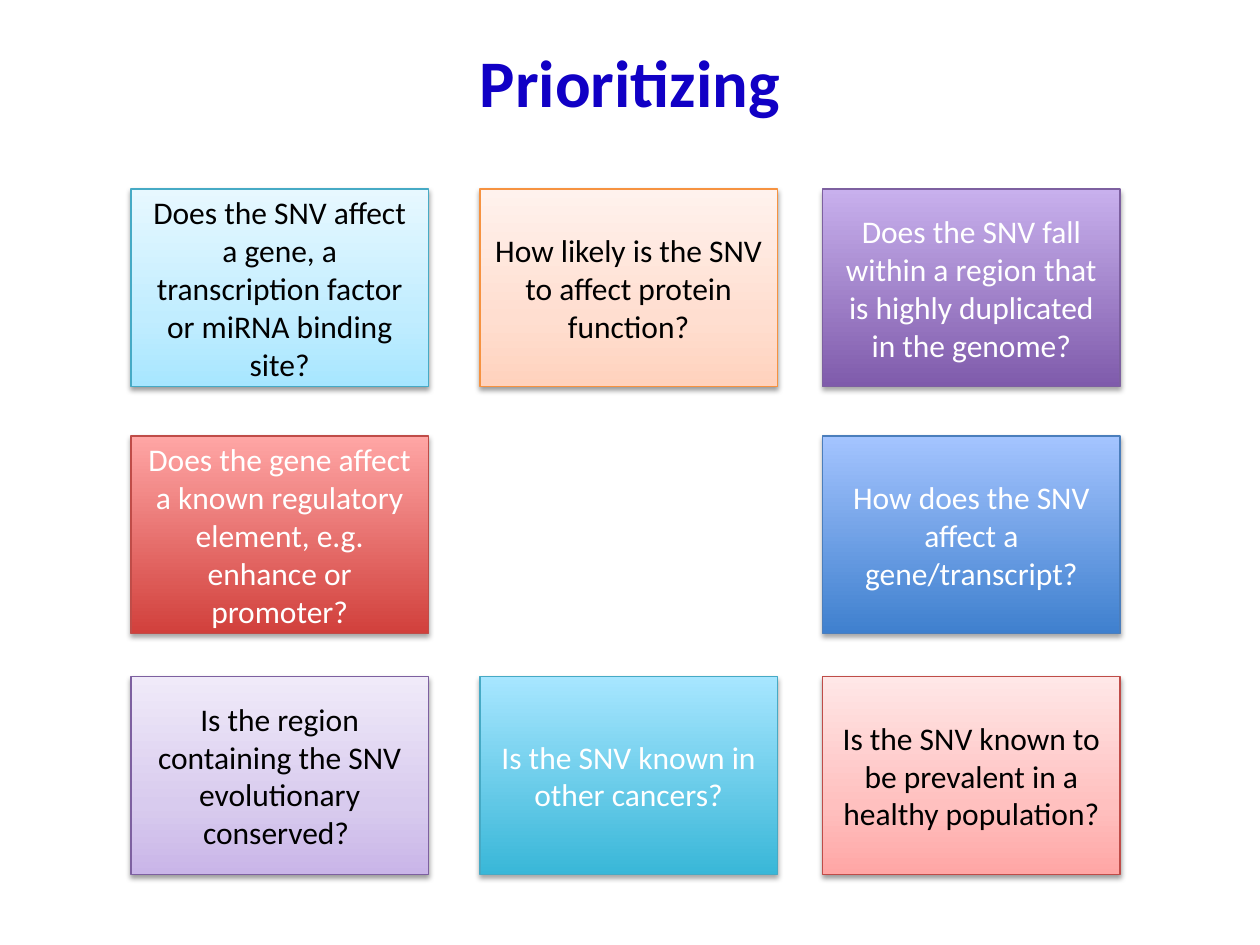
from lxml.etree import SubElement
from pptx import Presentation
from pptx.dml.color import RGBColor
from pptx.enum.shapes import MSO_SHAPE
from pptx.enum.text import MSO_ANCHOR, PP_ALIGN
from pptx.oxml.ns import qn
from pptx.util import Inches, Pt

COLS = (1.04, 3.81, 6.53)
ROWS = (1.5, 3.46, 5.37)
WIDTH, HEIGHT = 2.36, 1.57

# Line colour, then gradient colours from bottom to top
AQUA = ("46AAC5", "39B7D8", "A7E6FF")
PURPLE = ("7D60A0", "7F5BAB", "C8B0ED")
BLUE = ("4B7EBC", "3F80CE", "A4C4FF")
RED = ("BF4C48", "D1403C", "FFA6A5")
PALE_AQUA = ("46AAC5", "A7E6FF", "C1EDFF", "E7F8FF")
PALE_PURPLE = ("7D60A0", "C9B5E8", "D8CBEE", "F0EAF9")
PALE_ORANGE = ("F69240", "FFD2BD", "FFDED0", "FFF2ED")
PALE_RED = ("BF4C48", "FFA6A5", "FFC0BF", "FFE7E7")

# Column, row, scheme, question
CARDS = (
    (0, 0, PALE_AQUA, "Does the SNV affect a gene, a transcription factor or miRNA binding site?"),
    (0, 2, PALE_PURPLE, "Is the region containing the SNV evolutionary conserved? "),
    (2, 0, PURPLE, "Does the SNV fall within a region that is highly duplicated in the genome?"),
    (2, 1, BLUE, "How does the SNV affect a gene/transcript?"),
    (1, 0, PALE_ORANGE, "How likely is the SNV to affect protein function?"),
    (2, 2, PALE_RED, "Is the SNV known to be prevalent in a healthy population?"),
    (1, 2, AQUA, "Is the SNV known in other cancers?"),
    (0, 1, RED, "Does the gene affect a known regulatory element, e.g. enhance or promoter?"),
)


def rgb(code):
    return RGBColor.from_string(code)


def write(shape, text, size, color, bold=False):
    frame = shape.text_frame
    frame.text = text
    frame.word_wrap = True
    frame.vertical_anchor = MSO_ANCHOR.MIDDLE
    para = frame.paragraphs[0]
    para.alignment = PP_ALIGN.CENTER
    font = para.font
    font.name, font.size, font.bold = "Calibri", Pt(size), bold
    font.color.rgb = rgb(color)


def add_color(parent, code, alpha=None):
    color = SubElement(parent, qn("a:srgbClr"), val=code)
    if alpha:
        SubElement(color, qn("a:alpha"), val=str(alpha * 1000))


def shade(shape, colors):
    """Fill with a gradient that rises from the first colour to the last."""
    shape.fill.gradient()
    shape.fill.gradient_angle = 90
    stops = shape._element.spPr.find(qn("a:gradFill")).find(qn("a:gsLst"))
    for stop in list(stops):
        stops.remove(stop)
    places = (0, 35, 100) if len(colors) == 3 else (0, 100)
    for place, code in zip(places, colors):
        add_color(SubElement(stops, qn("a:gs"), pos=str(place * 1000)), code)


def cast(shape, gap, alpha):
    """Drop a soft black shadow straight down."""
    shape.shadow.inherit = False
    effects = shape._element.spPr.find(qn("a:effectLst"))
    shadow = SubElement(effects, qn("a:outerShdw"), blurRad=str(Pt(3.1)),
                        dist=str(Pt(gap)), dir="5400000", rotWithShape="0")
    add_color(shadow, "000000", alpha)


def add_card(slide, col, row, scheme, text):
    line, *colors = scheme
    pale = len(colors) == 3
    card = slide.shapes.add_shape(
        MSO_SHAPE.RECTANGLE, Inches(COLS[col]), Inches(ROWS[row]),
        Inches(WIDTH), Inches(HEIGHT))
    shade(card, colors)
    card.line.color.rgb = rgb(line)
    card.line.width = Pt(0.75)
    cast(card, *((1.6, 38) if pale else (1.8, 35)))
    write(card, text, 18, "000000" if pale else "FFFFFF")


def add_title(slide, text):
    title = slide.shapes.title
    title.left, title.top = Inches(0.5), Inches(0.02)
    title.width, title.height = Inches(9), Inches(1.25)
    write(title, text, 38, "1100C5", bold=True)


def main():
    deck = Presentation()
    deck.slide_width, deck.slide_height = Inches(10), Inches(7.5)
    slide = deck.slides.add_slide(deck.slide_layouts[5])
    add_title(slide, "Prioritizing")
    for card in CARDS:
        add_card(slide, *card)
    deck.save("out.pptx")


if __name__ == "__main__":
    main()
